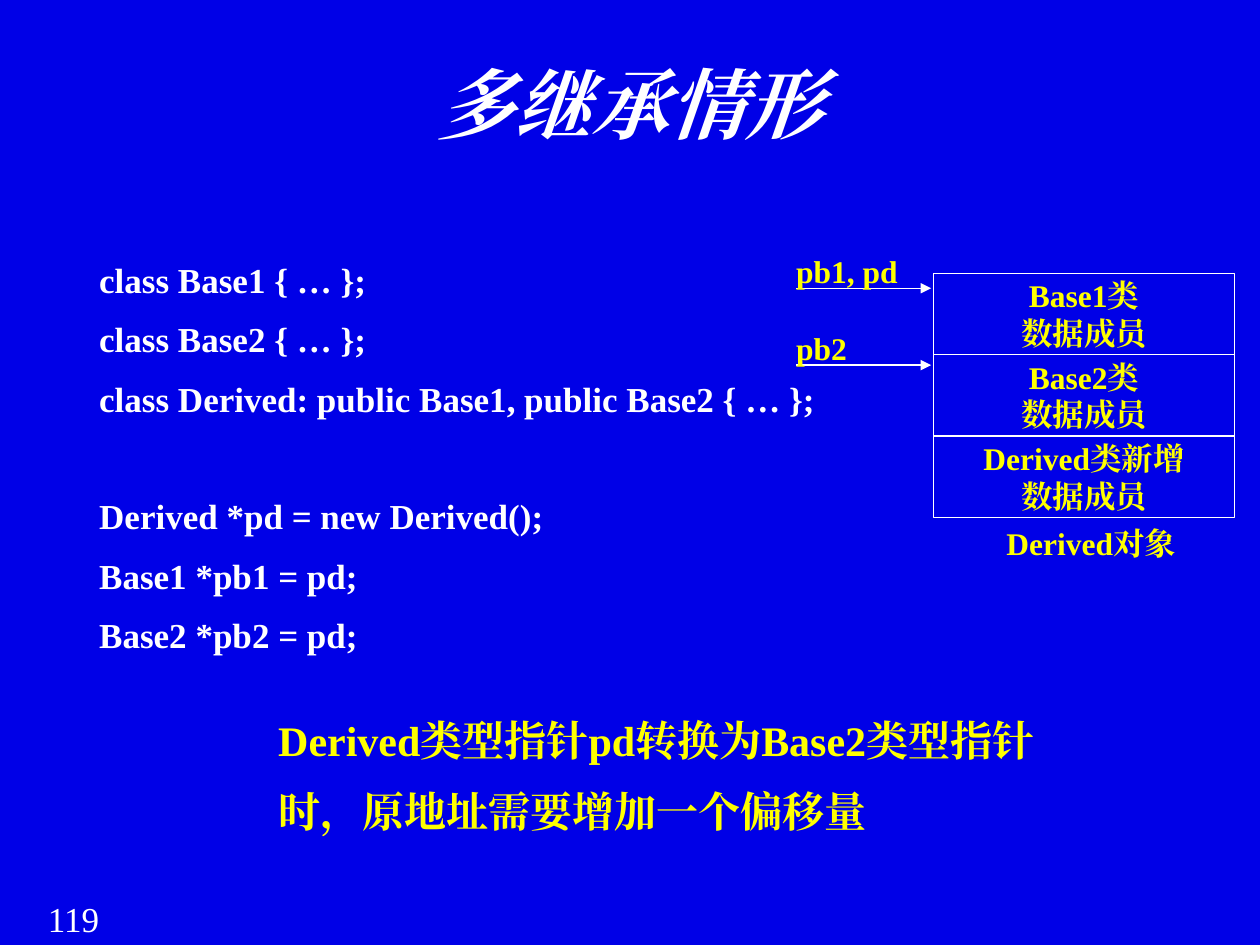
from lxml.etree import SubElement
from pptx import Presentation
from pptx.dml.color import RGBColor
from pptx.enum.shapes import MSO_CONNECTOR, MSO_SHAPE
from pptx.enum.text import MSO_ANCHOR, PP_ALIGN
from pptx.oxml.ns import qn
from pptx.util import Cm, Pt

BLUE = RGBColor(0x00, 0x00, 0xE7)
WHITE = RGBColor(0xFF, 0xFF, 0xFF)
YELLOW = RGBColor(0xFF, 0xFF, 0x00)
FONT = "Times New Roman"


def write_lines(shape, lines, size, color, align=PP_ALIGN.LEFT, bold=True,
                italic=False, before=0, after=0, inset=None):
    text_frame = shape.text_frame
    text_frame.word_wrap = True
    if inset is not None:
        text_frame.margin_left = text_frame.margin_right = inset
        text_frame.margin_top = text_frame.margin_bottom = inset
    text_frame.text = "\n".join(lines)
    for index, paragraph in enumerate(text_frame.paragraphs):
        paragraph.alignment = align
        paragraph.space_before = Pt(before if index else 0)
        paragraph.space_after = Pt(after)
        for run in paragraph.runs:
            font = run.font
            font.name, font.size = FONT, Pt(size)
            font.bold, font.italic = bold, italic
            font.color.rgb = color
            SubElement(font._element, qn("a:ea"), typeface=FONT)


def add_text(slide, left, top, width, height, lines, size, color, **style):
    box = slide.shapes.add_textbox(Cm(left), Cm(top), Cm(width), Cm(height))
    write_lines(box, lines, size, color, **style)
    return box


def add_arrow(slide, left, right, y):
    arrow = slide.shapes.add_connector(
        MSO_CONNECTOR.STRAIGHT, Cm(left), Cm(y), Cm(right), Cm(y))
    arrow.line.color.rgb = WHITE
    arrow.line.width = Pt(0.75)
    SubElement(arrow.line._get_or_add_ln(), qn("a:tailEnd"), type="triangle")
    SubElement(arrow._element.spPr, qn("a:effectLst"))


def add_code(slide, left, top, width, height):
    lines = [
        "class Base1 { … };",
        "class Base2 { … };",
        "class Derived: public Base1, public Base2 { … };",
        "Derived *pd = new Derived();",
        "Base1 *pb1 = pd;",
        "Base2 *pb2 = pd;",
    ]
    box = add_text(slide, left, top, width, height, lines, 20, WHITE,
                   before=4.5, after=5.5)
    # One free line separates the classes from the statements
    box.text_frame.paragraphs[3].space_before = Pt(37.5)


def add_memory_layout(slide, left, top, width, height):
    pointer_width = 2.72
    cell_left, cell_width = left + 2.77, width - 2.77
    cell_top, cell_height = top + 0.43, 1.64

    # Stacked parts of the object
    for row, name in enumerate(["Base1类", "Base2类", "Derived类新增"]):
        cell = slide.shapes.add_shape(
            MSO_SHAPE.RECTANGLE, Cm(cell_left), Cm(cell_top + row * cell_height),
            Cm(cell_width), Cm(cell_height))
        cell.shadow.inherit = False
        cell.fill.background()
        cell.line.color.rgb = WHITE
        cell.line.width = Pt(0.75)
        cell.text_frame.vertical_anchor = MSO_ANCHOR.MIDDLE
        write_lines(cell, [name, "数据成员"], 18, YELLOW,
                    align=PP_ALIGN.CENTER, inset=0)

    # Pointers with their arrows
    for row, name in enumerate(["pb1, pd", "pb2"]):
        label_top = top + row * 1.55
        add_arrow(slide, left, left + pointer_width, label_top + 0.73)
        add_text(slide, left, label_top, 2.44, 1, [name], 18, YELLOW,
                 align=PP_ALIGN.JUSTIFY, inset=0)

    # Caption under the stack
    add_text(slide, left + 4.06, top + height - 0.86, 3.78, 0.86,
             ["Derived对象"], 18, YELLOW, align=PP_ALIGN.CENTER, inset=0)


def main():
    presentation = Presentation()
    presentation.slide_width, presentation.slide_height = Cm(25.4), Cm(19.05)
    slide = presentation.slides.add_slide(presentation.slide_layouts[6])
    slide.background.fill.solid()
    slide.background.fill.fore_color.rgb = BLUE

    # Page number
    add_text(slide, 0.43, 17.96, 2.11, 1.09, ["119"], 20, WHITE,
             align=PP_ALIGN.CENTER, bold=False)
    # Title
    add_text(slide, 1.75, 1.02, 21.9, 3.68, ["多继承情形"], 44, WHITE,
             align=PP_ALIGN.CENTER, italic=True)
    add_code(slide, 1.75, 5.08, 21.9, 12.09)
    # Conclusion
    add_text(slide, 5.36, 14.27, 17.93, 2.36,
             ["Derived类型指针pd转换为Base2类型指针", "时，原地址需要增加一个偏移量"],
             24, YELLOW, before=5.5, after=6.5)
    add_memory_layout(slide, 16.05, 5.08, 8.84, 6.35)

    presentation.save("out.pptx")


if __name__ == "__main__":
    main()
